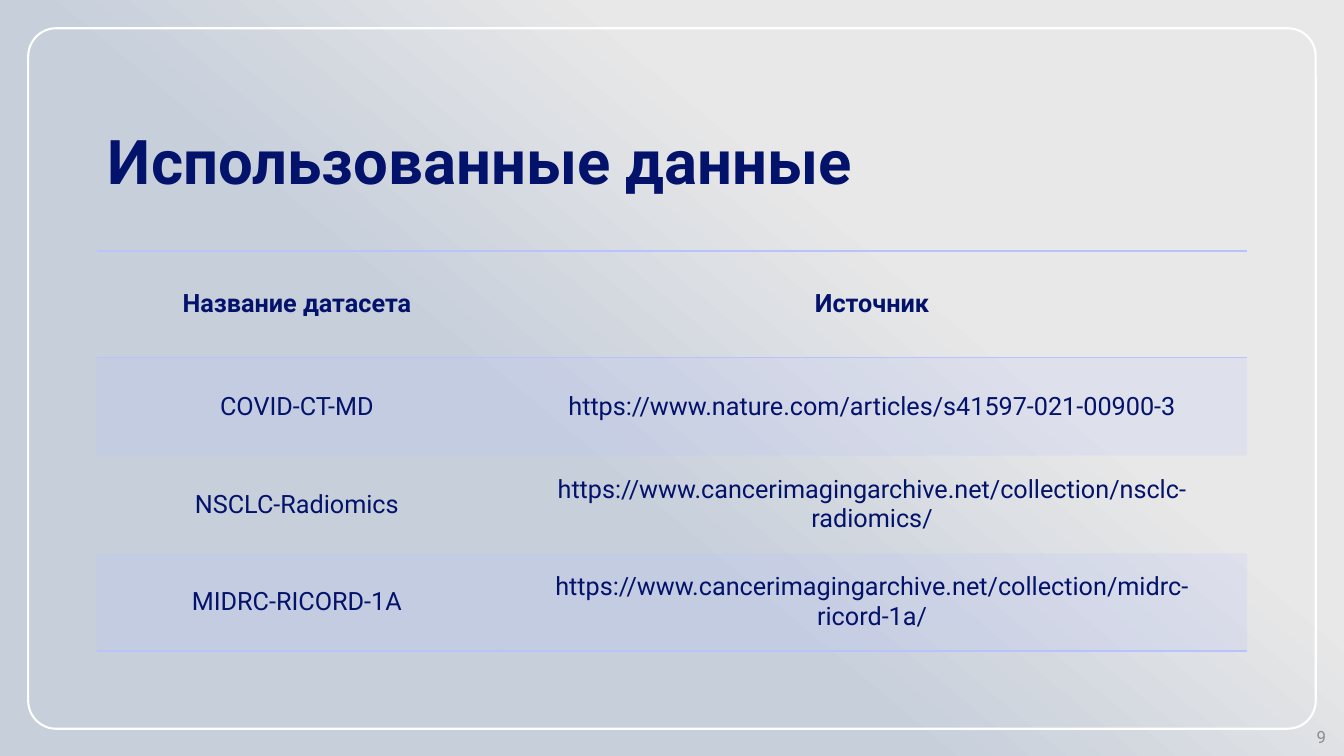
from dataclasses import dataclass

import pptx
import pptx.dml.color
import pptx.enum.dml
import pptx.enum.shapes
import pptx.enum.text
import pptx.oxml
import pptx.oxml.ns
import pptx.util
from pptx.util import Inches

NAVY = "03126A"
LILAC = "B8C2FD"
ALIGN = pptx.enum.text.PP_ALIGN
MIDDLE = pptx.enum.text.MSO_ANCHOR.MIDDLE
qn = pptx.oxml.ns.qn


@dataclass
class Row:
    name: str
    source: str
    height: float = 0.97
    bold: bool = False
    band: bool = False
    edges: str = ""


ROWS = [
    Row("Название датасета", "Источник", 1.06, bold=True, edges="TB"),
    Row("COVID-CT-MD", "https://www.nature.com/articles/s41597-021-00900-3",
        band=True),
    Row("NSCLC-Radiomics",
        "https://www.cancerimagingarchive.net/collection/nsclc-radiomics/"),
    Row("MIDRC-RICORD-1A",
        "https://www.cancerimagingarchive.net/collection/midrc-ricord-1a/",
        band=True, edges="B"),
]
WIDTHS = [3.97, 7.44]


def paint(color, value: str) -> None:
    color.rgb = pptx.dml.color.RGBColor.from_string(value)


def write(frame, text: str, *, size: float = 18, color: str = NAVY,
          bold: bool = False, align=ALIGN.CENTER, leading=None) -> None:
    frame.word_wrap = True
    frame.vertical_anchor = MIDDLE
    line = frame.paragraphs[0]
    line.alignment = align
    line.line_spacing = leading
    run = line.add_run()
    run.text = text
    run.font.name = "Roboto"
    run.font.size = pptx.util.Pt(size)
    run.font.bold = bold
    paint(run.font.color, color)


def shade(slide) -> None:
    fill = slide.background.fill
    fill.gradient()
    fill.gradient_angle = 230
    stops = [(0.33, "E8E8E8"), (0.59, "C7CFDB")]
    for stop, (place, color) in zip(fill.gradient_stops, stops):
        stop.position = place
        paint(stop.color, color)


def frame_page(slide) -> None:
    kind = pptx.enum.shapes.MSO_SHAPE.ROUNDED_RECTANGLE
    panel = slide.shapes.add_shape(kind, Inches(0.28), Inches(0.28),
                                   Inches(12.77), Inches(6.95))
    panel.adjustments[0] = 0.04
    panel.shadow.inherit = False
    panel.fill.background()
    paint(panel.line.color, "FFFFFF")
    panel.line.width = pptx.util.Pt(1.5)
    panel.element.getparent().insert(2, panel.element)


def style(cell, row: Row) -> None:
    props = cell._tc.get_or_add_tcPr()
    if row.band:
        cell.fill.solid()
        paint(cell.fill.fore_color, LILAC)
        tint = props.find(".//" + qn("a:srgbClr"))
        tint.append(pptx.oxml.parse_xml(
            f'<a:alpha {pptx.oxml.ns.nsdecls("a")} val="20000"/>'))
    else:
        cell.fill.background()
    for spot, edge in enumerate(row.edges):
        props.insert(spot, pptx.oxml.parse_xml(
            f'<a:ln{edge} {pptx.oxml.ns.nsdecls("a")} w="12700"><a:solidFill>'
            f'<a:srgbClr val="{LILAC}"/></a:solidFill></a:ln{edge}>'))


def add_grid(slide) -> None:
    high = sum(row.height for row in ROWS)
    holder = slide.shapes.add_table(len(ROWS), len(WIDTHS), Inches(0.96),
                                    Inches(2.49), Inches(sum(WIDTHS)),
                                    Inches(high))
    grid = holder.table
    grid.first_row = grid.horz_banding = False
    plain = "{2D5ABB26-0587-4C30-8999-92F81FD0307C}"
    holder.element.find(".//" + qn("a:tableStyleId")).text = plain
    for column, width in zip(grid.columns, WIDTHS):
        column.width = Inches(width)
    for line, row in zip(grid.rows, ROWS):
        line.height = Inches(row.height)
        for cell, text in zip(line.cells, (row.name, row.source)):
            write(cell.text_frame, text, bold=row.bold)
            cell.vertical_anchor = MIDDLE
            style(cell, row)


def main() -> None:
    deck = pptx.Presentation()
    deck.slide_width, deck.slide_height = Inches(13.33), Inches(7.5)
    slide = deck.slides.add_slide(deck.slide_layouts[5])
    shade(slide)
    frame_page(slide)
    title = slide.shapes.title
    title.left, title.top = Inches(0.97), Inches(1.04)
    title.width, title.height = Inches(9.79), Inches(1.18)
    write(title.text_frame, "Использованные данные", size=44, bold=True,
          align=ALIGN.LEFT, leading=0.9)
    number = slide.shapes.add_textbox(Inches(10.25), Inches(7.18),
                                      Inches(3), Inches(0.25))
    write(number.text_frame, "9", size=12, color="8C8C8C", align=ALIGN.RIGHT)
    add_grid(slide)
    deck.save("out.pptx")


if __name__ == "__main__":
    main()
